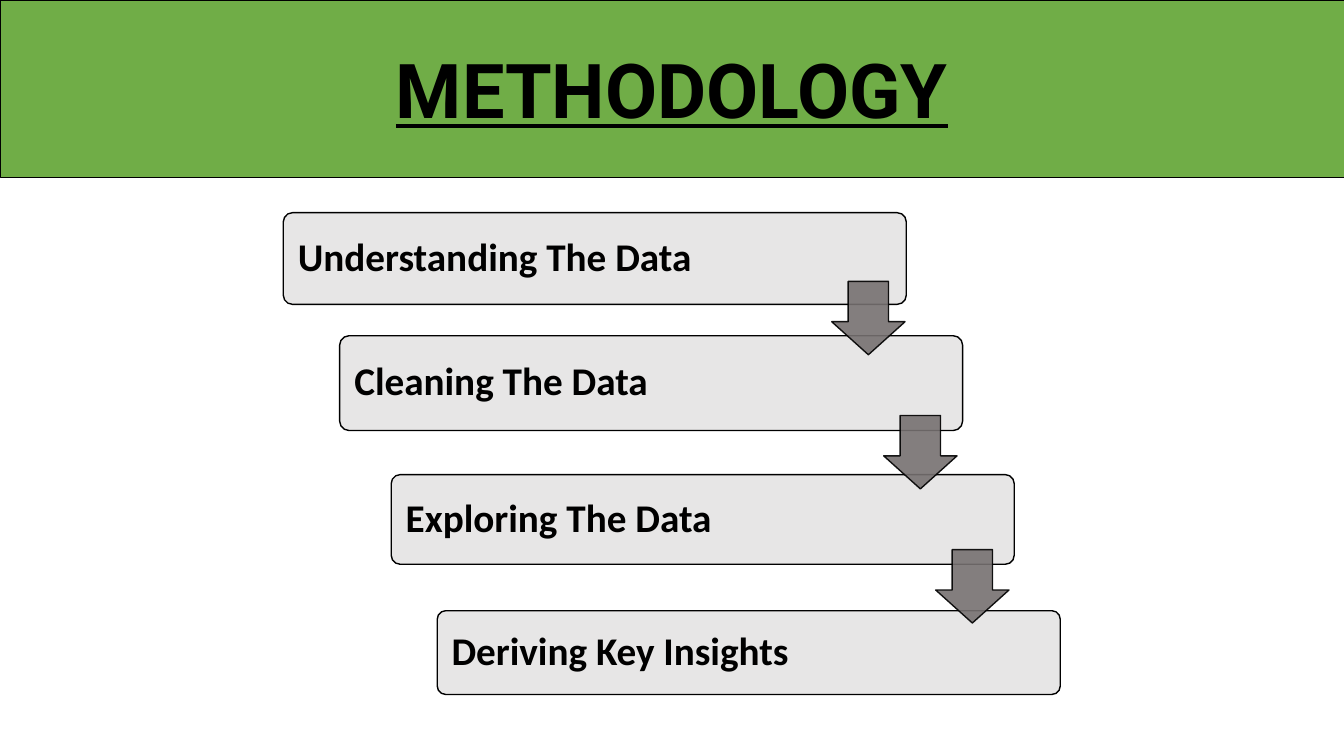
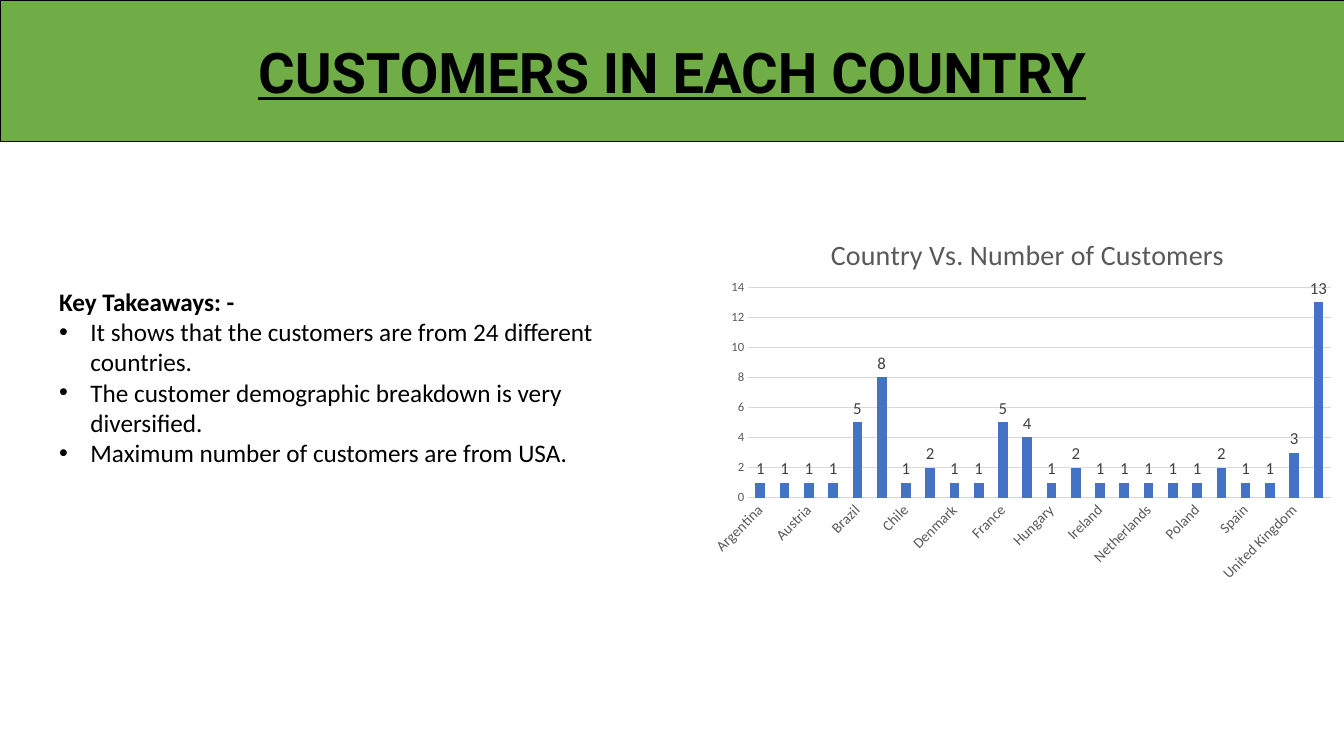
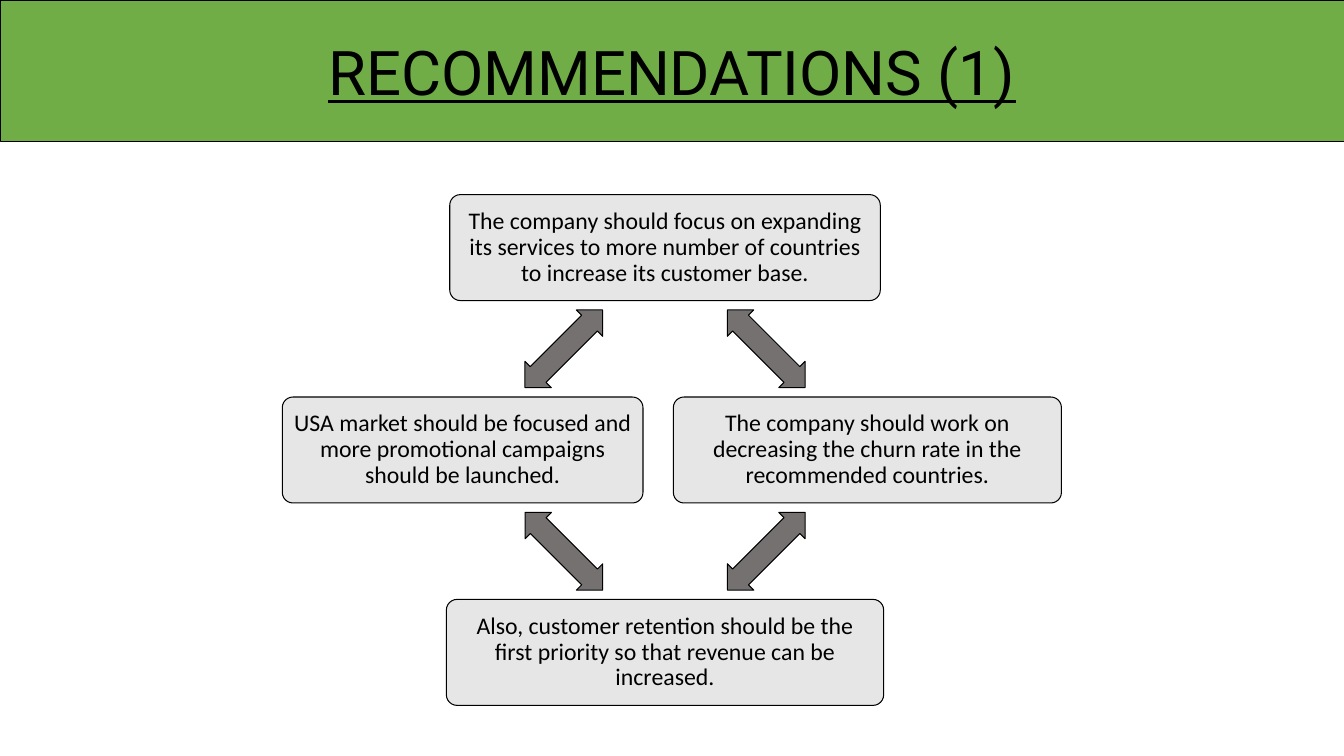
from lxml import etree
from pptx import Presentation
from pptx.chart.data import CategoryChartData
from pptx.dml.color import RGBColor
from pptx.enum import chart as charts, shapes, text
from pptx.oxml import parse_xml
from pptx.oxml.ns import nsdecls, qn
from pptx.util import Cm, Pt

BLACK = RGBColor(0x00, 0x00, 0x00)
GREEN = RGBColor(0x70, 0xAD, 0x47)
LIGHT_GRAY = RGBColor(0xE7, 0xE6, 0xE6)
DARK_GRAY = RGBColor(0x76, 0x71, 0x71)
BLUE = RGBColor(0x44, 0x72, 0xC4)
CHART_TEXT = RGBColor(0x59, 0x59, 0x59)
LABEL_TEXT = RGBColor(0x40, 0x40, 0x40)
GRID = RGBColor(0xD9, 0xD9, 0xD9)

SLIDE_WIDTH, SLIDE_HEIGHT = 33.87, 19.05
BODY_FONT, TITLE_FONT = "Calibri", "Roboto"
Shape = shapes.MSO_SHAPE
Align = text.PP_ALIGN


class Deck:
    """Holds the shared style and the slide being built."""

    def __init__(self):
        self.presentation = Presentation()
        self.presentation.slide_width = Cm(SLIDE_WIDTH)
        self.presentation.slide_height = Cm(SLIDE_HEIGHT)
        self.slide = None

    def new_slide(self, title, size, height, bold=True):
        """Start a slide with its green title band."""
        self.slide = self.presentation.slides.add_slide(self.presentation.slide_layouts[6])
        band = self.shape(Shape.RECTANGLE, 0, 0, SLIDE_WIDTH, height, GREEN, 0.5)
        band.text_frame.text = title
        paragraph = band.text_frame.paragraphs[0]
        paragraph.alignment = Align.CENTER
        self.style(paragraph.runs[0].font, size, bold=bold, name=TITLE_FONT)
        paragraph.runs[0].font.underline = True

    def style(self, font, size, color=BLACK, bold=False, name=BODY_FONT):
        font.name, font.size, font.bold = name, Pt(size), bold
        font.color.rgb = color

    def shape(self, kind, left, top, width, height, fill, line_width, adjustments=()):
        shape = self.slide.shapes.add_shape(kind, Cm(left), Cm(top), Cm(width), Cm(height))
        shape.shadow.inherit = False
        shape.fill.solid()
        shape.fill.fore_color.rgb = fill
        shape.line.color.rgb = BLACK
        shape.line.width = Pt(line_width)
        for index, value in enumerate(adjustments):
            shape.adjustments[index] = value
        return shape

    def box(self, words, left, top, width, height, size, line_width, inset,
            alignment, bold=False):
        """Rounded gray box with text."""
        box = self.shape(Shape.ROUNDED_RECTANGLE, left, top, width, height,
                         LIGHT_GRAY, line_width, [0.1])
        frame = box.text_frame
        frame.margin_left = frame.margin_right = Cm(inset)
        frame.margin_top = frame.margin_bottom = Cm(inset)
        frame.text = words
        paragraph = frame.paragraphs[0]
        paragraph.alignment = alignment
        paragraph.line_spacing = 0.9
        self.style(paragraph.runs[0].font, size, bold=bold)

    def down_arrow(self, left, top, side):
        """Slightly transparent arrow between two steps."""
        arrow = self.shape(Shape.DOWN_ARROW, left, top, side, side, DARK_GRAY, 1, [0.55, 0.45])
        for color in arrow._element.spPr.iter(qn("a:srgbClr")):
            etree.SubElement(color, qn("a:alpha"), val="90000")

    def double_arrow(self, center_x, center_y, rotation):
        width, height = 2.77, 0.94
        arrow = self.shape(Shape.LEFT_RIGHT_ARROW, center_x - width / 2, center_y - height / 2,
                           width, height, DARK_GRAY, 0.75, [0.6, 0.5])
        arrow.rotation = rotation

    def bullet_list(self, heading, items, left, top, width, height, size):
        box = self.slide.shapes.add_textbox(Cm(left), Cm(top), Cm(width), Cm(height))
        frame = box.text_frame
        frame.word_wrap = True
        frame.text = "\n".join([heading] + items)
        for index, paragraph in enumerate(frame.paragraphs):
            self.style(paragraph.runs[0].font, size, bold=index == 0)
            if index:
                properties = paragraph._p.get_or_add_pPr()
                properties.set("marL", str(Cm(0.79)))
                properties.set("indent", str(Cm(-0.79)))
                etree.SubElement(properties, qn("a:buFont"), typeface="Arial")
                etree.SubElement(properties, qn("a:buChar"), char="•")

    def column_chart(self, title, values, left, top, width, height):
        data = CategoryChartData()
        data.categories = list(values)
        data.add_series("Series 1", list(values.values()))
        chart = self.slide.shapes.add_chart(
            charts.XL_CHART_TYPE.COLUMN_CLUSTERED,
            Cm(left), Cm(top), Cm(width), Cm(height), data).chart
        chart.has_legend = False
        self.style(chart.font, 10)

        # Title
        chart.has_title = True
        chart.chart_title.text_frame.text = title
        run = chart.chart_title.text_frame.paragraphs[0].runs[0]
        self.style(run.font, 20, CHART_TEXT)
        chart.chart_title.include_in_layout = False

        # Columns and labels
        plot = chart.plots[0]
        plot.gap_width = 150
        plot.vary_by_categories = False
        series = plot.series[0]
        series.format.fill.solid()
        series.format.fill.fore_color.rgb = BLUE
        labels = series.data_labels
        labels.show_value = True
        labels.position = charts.XL_LABEL_POSITION.OUTSIDE_END
        self.style(labels.font, 12, LABEL_TEXT)

        # Axes
        for axis, size in ((chart.category_axis, 10.5), (chart.value_axis, 9)):
            axis.major_tick_mark = charts.XL_TICK_MARK.NONE
            axis.format.line.fill.background()
            self.style(axis.tick_labels.font, size, CHART_TEXT)
        category_text = chart.category_axis._element.find(qn("c:txPr"))
        category_text.find(qn("a:bodyPr")).set("rot", "-2700000")
        value_axis = chart.value_axis
        value_axis.minimum_scale, value_axis.maximum_scale = 0, 14
        value_axis.major_unit = 2
        value_axis.major_gridlines.format.line.color.rgb = GRID
        value_axis.major_gridlines.format.line.width = Pt(0.75)

        # Places of title and plot, as shares of the chart
        self.chart_layout(chart.chart_title._element, x=0.2, y=0.06)
        self.chart_layout(chart._chartSpace.chart.plotArea, inner=True,
                          x=0.08, y=0.21, w=0.9, h=0.55)

    def chart_layout(self, element, inner=False, **shares):
        for old in element.findall(qn("c:layout")):
            element.remove(old)
        target = '<c:layoutTarget val="inner"/>' if inner else ""
        modes = "".join(f'<c:{key}Mode val="edge"/>' for key in "xy")
        sizes = "".join(f'<c:{key} val="{value}"/>' for key, value in shares.items())
        layout = parse_xml(f'<c:layout {nsdecls("c")}><c:manualLayout>'
                           f'{target}{modes}{sizes}</c:manualLayout></c:layout>')
        words = element.find(qn("c:tx"))
        element.insert(0 if words is None else 1, layout)


def methodology(deck):
    deck.new_slide("METHODOLOGY", 54, 4.47)
    steps = [
        ("Understanding The Data", 7.14, 5.36, 2.31),
        ("Cleaning The Data", 8.56, 8.46, 2.39),
        ("Exploring The Data", 9.86, 11.96, 2.26),
        ("Deriving Key Insights", 11.02, 15.39, 2.11),
    ]
    for words, left, top, height in steps:
        deck.box(words, left, top, 15.7, height, 28, 1, 0.3, Align.LEFT, bold=True)
    for index in range(len(steps) - 1):
        deck.down_arrow(20.96 + 1.31 * index, 7.09 + 3.38 * index, 1.85)


def customers(deck):
    deck.new_slide("CUSTOMERS IN EACH COUNTRY", 40, 3.56)
    deck.column_chart("Country Vs. Number of Customers", {
        "Argentina": 1, "Australia": 1, "Austria": 1, "Belgium": 1, "Brazil": 5,
        "Canada": 8, "Chile": 1, "Czech Republic": 2, "Denmark": 1, "Finland": 1,
        "France": 5, "Germany": 4, "Hungary": 1, "India": 2, "Ireland": 1, "Italy": 1,
        "Netherlands": 1, "Norway": 1, "Poland": 1, "Portugal": 2, "Spain": 1,
        "Sweden": 1, "United Kingdom": 3, "USA": 13,
    }, 17.55, 5.21, 16.31, 9.65)
    deck.bullet_list("Key Takeaways: -", [
        "It shows that the customers are from 24 different countries.",
        "The customer demographic breakdown is very diversified.",
        "Maximum number of customers are from USA.",
    ], 1.24, 7.09, 15.67, 4.88, 18)


def recommendations(deck):
    deck.new_slide("RECOMMENDATIONS (1)", 44, 3.56, bold=False)
    center_x, center_y, radius, height = 16.76, 11.34, 5.1, 2.67
    # Clockwise from the top: text, width, direction from the centre
    ring = [
        ("The company should focus on expanding its services to more number of countries "
         "to increase its customer base.", 10.85, (0, -1)),
        ("The company should work on decreasing the churn rate in the recommended countries.",
         9.78, (1, 0)),
        ("Also, customer retention should be the first priority so that revenue can be "
         "increased.", 11.02, (0, 1)),
        ("USA market should be focused and more promotional campaigns should be launched.",
         9.09, (-1, 0)),
    ]
    for index, (words, width, (x, y)) in enumerate(ring):
        deck.box(words, center_x + radius * x - width / 2, center_y + radius * y - height / 2,
                 width, height, 17, 0.75, 0.18, Align.CENTER)
        next_x, next_y = ring[(index + 1) % len(ring)][2]
        deck.double_arrow(center_x + radius * (x + next_x) / 2,
                          center_y + radius * (y + next_y) / 2, 45 + 90 * index)


def main():
    deck = Deck()
    methodology(deck)
    customers(deck)
    recommendations(deck)
    deck.presentation.save("out.pptx")


if __name__ == "__main__":
    main()
